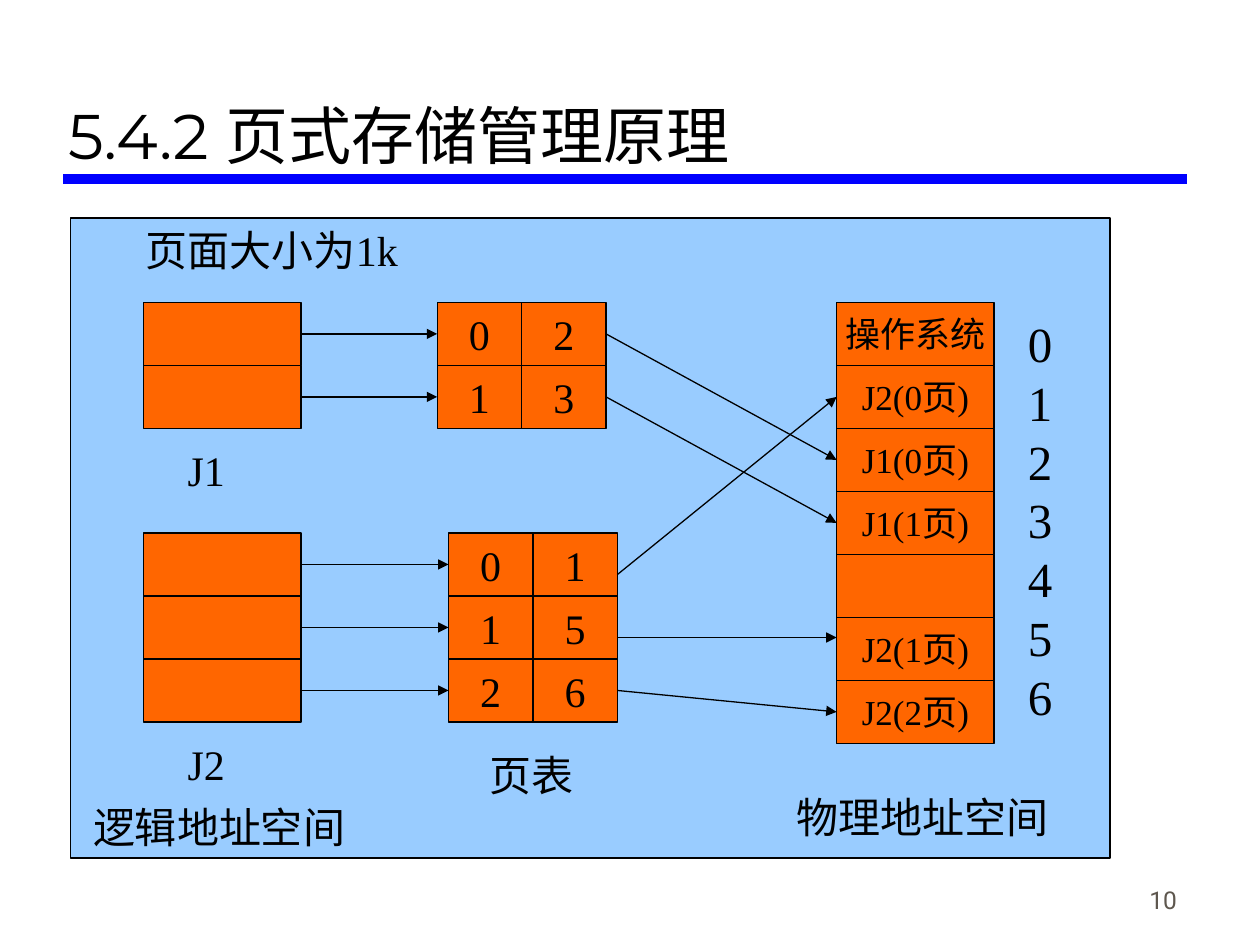
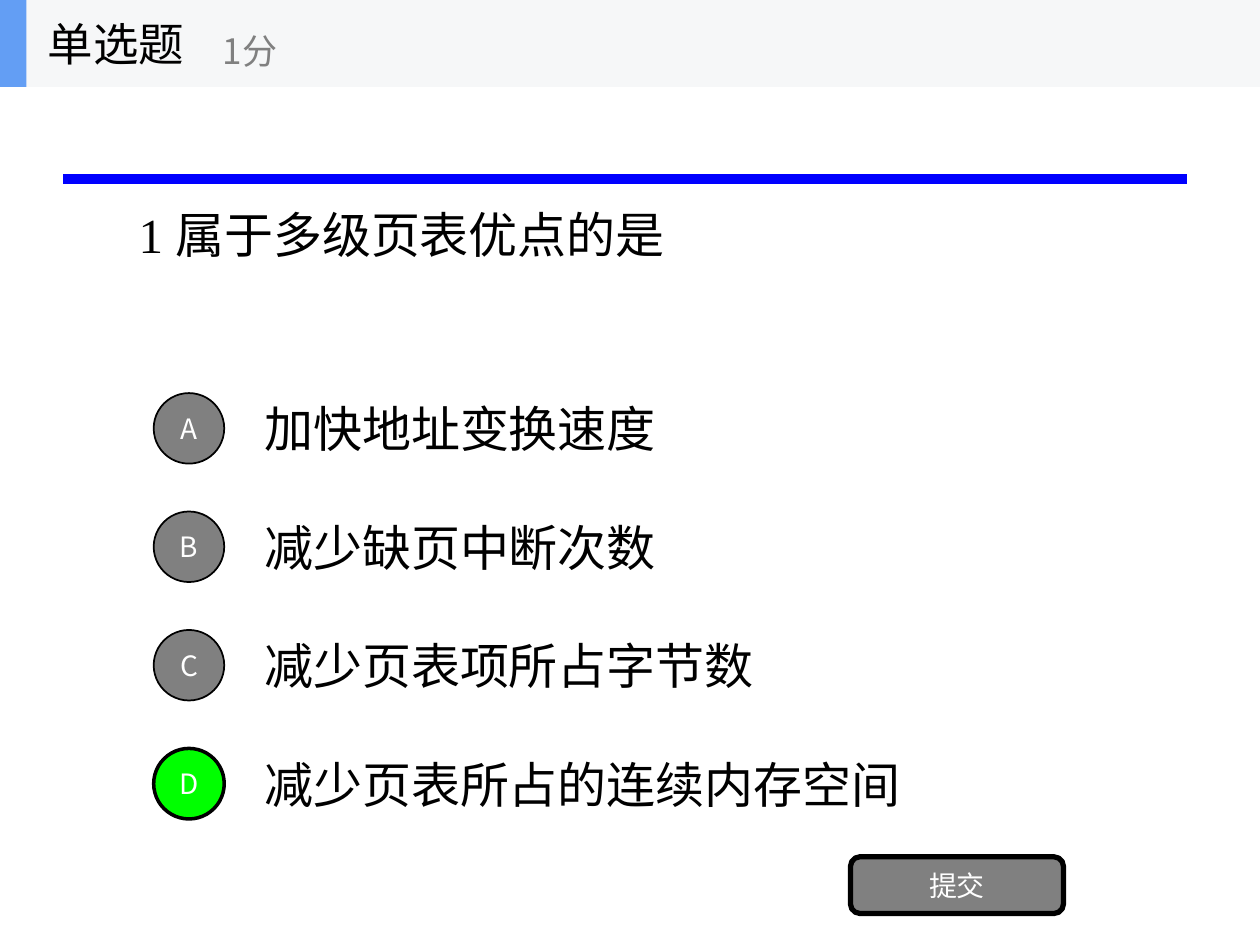
from lxml import etree
from pptx import Presentation
from pptx import util as u
from pptx.dml.color import RGBColor
from pptx.enum import shapes, text
from pptx.oxml.ns import qn

THEME = {
    "black": RGBColor(0x00, 0x00, 0x00),
    "white": RGBColor(0xFF, 0xFF, 0xFF),
    "rule": RGBColor(0x00, 0x00, 0xFF),
    "panel": RGBColor(0x99, 0xCC, 0xFF),
    "page": RGBColor(0xFF, 0x66, 0x00),
    "grey": RGBColor(0x80, 0x80, 0x80),
    "correct": RGBColor(0x00, 0xFF, 0x00),
    "band": RGBColor(0xF6, 0xF7, 0xF8),
    "accent": RGBColor(0x63, 0x9E, 0xF4),
    "number": RGBColor(0x5E, 0x57, 0x4E),
    "east_asian": "Noto Sans CJK SC",
    "type": {
        "title": ("Montserrat", 36, "black"),
        "footer": ("Roboto", 14, "number"),
        "body": ("Times New Roman", 24, "black"),
        "frame": ("Times New Roman", 20, "black"),
        "large": ("Times New Roman", 28, "black"),
        "button": ("Noto Sans CJK SC", 16, "white"),
        "heading": ("Noto Sans CJK SC", 26, "black"),
        "points": ("Noto Sans CJK SC", 20, "grey"),
    },
}
LEFT, CENTER, RIGHT = text.PP_ALIGN.LEFT, text.PP_ALIGN.CENTER, text.PP_ALIGN.RIGHT
TOP, MIDDLE, BOTTOM = text.MSO_ANCHOR.TOP, text.MSO_ANCHOR.MIDDLE, text.MSO_ANCHOR.BOTTOM
RECT = shapes.MSO_SHAPE.RECTANGLE


def block(slide, kind, at, fill, width=0.75):
    drawn = slide.shapes.add_shape(kind, *map(u.Inches, at))
    drawn.shadow.inherit = False
    drawn.fill.solid()
    drawn.fill.fore_color.rgb = THEME[fill]
    if width:
        drawn.line.color.rgb = THEME["black"]
        drawn.line.width = u.Pt(width)
    else:
        drawn.line.fill.background()
    return drawn


def write(holder, words, style, align=LEFT, anchor=TOP, wrap=True, spacing=None):
    frame = holder.text_frame
    frame.text = words
    settings = {
        "auto_size": text.MSO_AUTO_SIZE.NONE, "word_wrap": wrap, "vertical_anchor": anchor,
        "margin_left": u.Inches(0.1), "margin_right": u.Inches(0.1),
        "margin_top": u.Inches(0.05), "margin_bottom": u.Inches(0.05),
    }
    for name, value in settings.items():
        setattr(frame, name, value)
    face, size, colour = THEME["type"][style]
    for paragraph in frame.paragraphs:
        paragraph.alignment = align
        paragraph.line_spacing = spacing
        for run in paragraph.runs:
            for name, value in {"name": face, "size": u.Pt(size)}.items():
                setattr(run.font, name, value)
            run.font.color.rgb = THEME[colour]
            east_asian = etree.SubElement(run.font._element, qn("a:ea"))
            east_asian.set("typeface", THEME["east_asian"])


deck = Presentation()
deck.slide_width, deck.slide_height = u.Inches(10), u.Inches(7.5)
title_only = deck.slide_layouts[5]

paging, quiz = [deck.slides.add_slide(title_only) for _ in range(2)]
titles = [
    (paging, (0.44, 0.17, 8.97, 1.25), "5.4.2 页式存储管理原理", "title", BOTTOM),
    (quiz, (1, 0.69, 8, 2.34), "1 属于多级页表优点的是", "large", MIDDLE),
]
for slide, at, words, style, anchor in titles:
    title = slide.shapes.title
    for name, value in zip(("left", "top", "width", "height"), at):
        setattr(title, name, u.Inches(value))
    write(title, words, style, anchor=anchor)
    rule = slide.shapes.add_connector(
        shapes.MSO_CONNECTOR.STRAIGHT, *map(u.Inches, (0.5, 1.42, 9.42, 1.42)))
    rule.line.color.rgb = THEME["rule"]
    rule.line.width = u.Pt(6)
    etree.SubElement(rule._element.spPr, qn("a:effectLst"))

page_number = paging.shapes.add_textbox(*map(u.Inches, (7.36, 6.81, 2.08, 0.5)))
write(page_number, "10", "footer", RIGHT, BOTTOM)
block(paging, RECT, (0.56, 1.73, 8.25, 5.08), "panel")

ROW, JOB_WIDTH, ENTRY_WIDTH = 0.5, 1.25, 0.67
frame_names = ["操作系统", "J2(0页)", "J1(0页)", "J1(1页)", "", "J2(1页)", "J2(2页)"]
frames = []
for row, name in enumerate(frame_names):
    frame = block(paging, RECT, (6.64, 2.4 + row * ROW, JOB_WIDTH, ROW), "page")
    if name:
        write(frame, name, "frame", CENTER, MIDDLE, wrap=False)
    frames.append(frame)

page_tables = [
    (2.4, 3.47, [2, 3], {}),
    (4.23, 3.56, [1, 5, 6], {0: (4.56, None), 1: (5.06, 5.06)}),
]
arrows = []
for top, table_left, frame_numbers, free_ends in page_tables:
    for page, frame_number in enumerate(frame_numbers):
        y = top + page * ROW
        job_page = block(paging, RECT, (1.14, y, JOB_WIDTH, ROW), "page")
        entries = []
        for column, value in enumerate((page, frame_number)):
            entry = block(
                paging, RECT, (table_left + column * ENTRY_WIDTH, y, ENTRY_WIDTH, ROW), "page")
            write(entry, str(value), "body", CENTER, MIDDLE, wrap=False)
            entries.append(entry)
        arrows.append((job_page, entries[0], None, None))
        arrows.append((entries[1], frames[frame_number], *free_ends.get(page, (None, None))))

for source, target, start_y, end_y in arrows:
    arrow = paging.shapes.add_connector(
        shapes.MSO_CONNECTOR.STRAIGHT,
        source.left + source.width, u.Inches(start_y or 0),
        target.left, u.Inches(end_y or 0))
    if start_y is None:
        arrow.begin_connect(source, 3)
    if end_y is None:
        arrow.end_connect(target, 1)
    arrow.line.color.rgb = THEME["black"]
    arrow.line.width = u.Pt(0.75)
    etree.SubElement(arrow.line._get_or_add_ln(), qn("a:tailEnd")).set("type", "triangle")
    etree.SubElement(arrow._element.spPr, qn("a:effectLst"))

captions = [
    ((1.06, 1.73, 3.58, 0.5), "页面大小为1k"),
    ((1.39, 3.48, 0.85, 0.5), "J1"),
    ((1.39, 5.81, 0.85, 0.5), "J2"),
    ((0.64, 6.31, 2.33, 0.5), "逻辑地址空间"),
    ((3.79, 5.9, 2.33, 0.5), "页表"),
    ((6.22, 6.23, 2.33, 0.5), "物理地址空间"),
]
for at, words in captions:
    write(paging.shapes.add_textbox(*map(u.Inches, at)), words, "body")

frame_index = paging.shapes.add_textbox(*map(u.Inches, (8.06, 2.44, 0.5, 3.37)))
write(frame_index, "\n".join(map(str, range(len(frames)))), "large", spacing=u.Pt(33.6))

answers = ["加快地址变换速度", "减少缺页中断次数", "减少页表项所占字节数", "减少页表所占的连续内存空间"]
for row, (letter, answer) in enumerate(zip("ABCD", answers)):
    y = 3.05 + row * 0.94
    choice = quiz.shapes.add_textbox(*map(u.Inches, (2, y, 7, 0.7)))
    write(choice, answer, "large", anchor=MIDDLE)
    fill, width = ("correct", 2) if letter == "D" else ("grey", 1)
    badge = block(quiz, shapes.MSO_SHAPE.OVAL, (1.22, y + 0.07, 0.56, 0.56), fill, width)
    write(badge, letter, "button", CENTER, MIDDLE)

submit = block(quiz, shapes.MSO_SHAPE.ROUNDED_RECTANGLE, (6.75, 6.8, 1.69, 0.45), "grey", 3)
write(submit, "提交", "button", CENTER, MIDDLE)

block(quiz, RECT, (0, 0, 10, 0.69), "band", 0)
block(quiz, RECT, (0, 0, 0.21, 0.69), "accent", 0)
header = [
    ((0.28, 0, 2.08, 0.69), "单选题", "heading"),
    ((1.67, 0.12, 2.5, 0.56), "1分", "points"),
]
for at, words, style in header:
    label = quiz.shapes.add_textbox(*map(u.Inches, at))
    write(label, words, style, anchor=MIDDLE, wrap=False)

deck.save("out.pptx")
